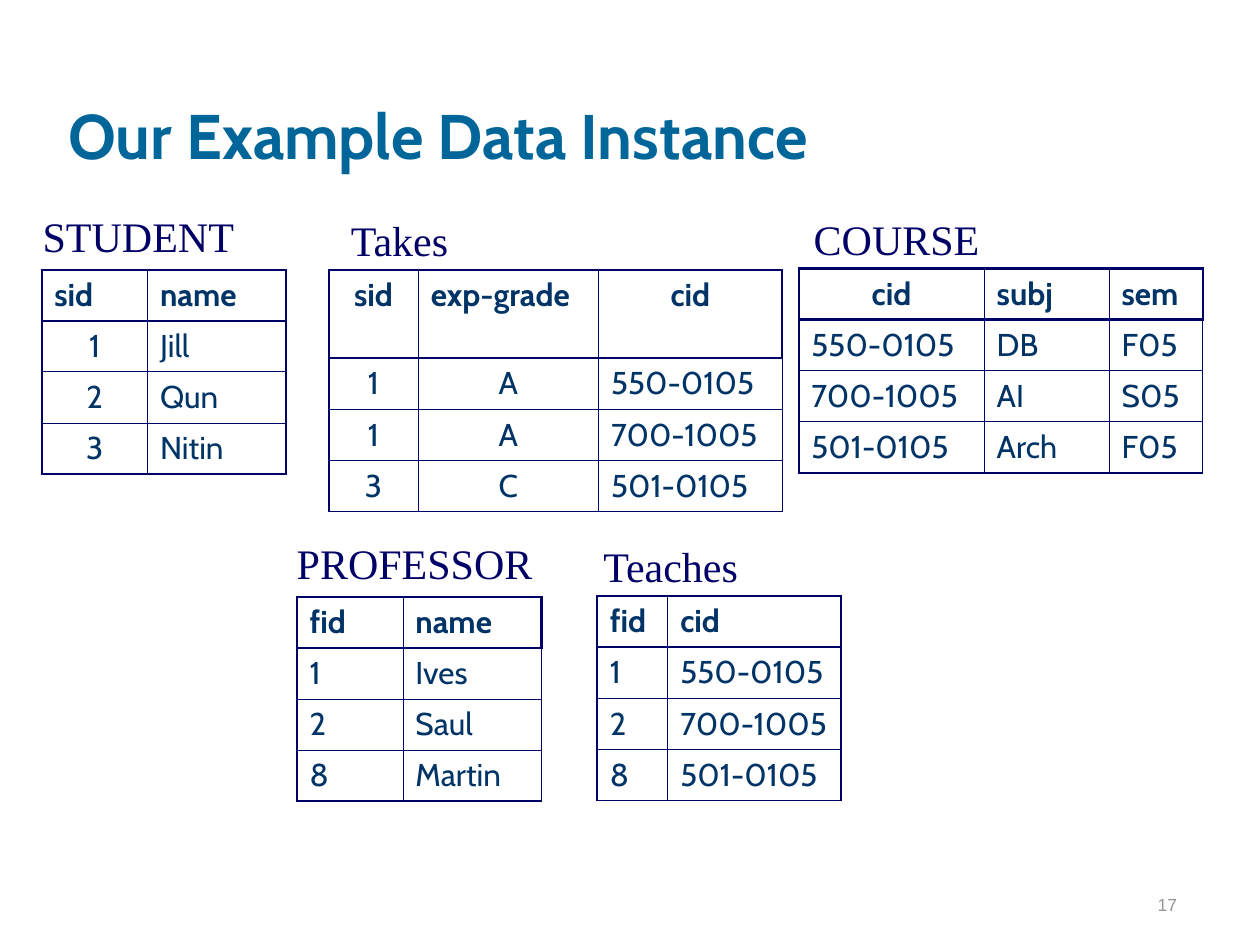
from lxml import etree
from pptx import Presentation
from pptx.dml.color import RGBColor
from pptx.enum.text import MSO_ANCHOR, MSO_AUTO_SIZE, PP_ALIGN
from pptx.oxml.ns import qn
from pptx.util import Pt

BOTTOM = MSO_ANCHOR.BOTTOM
TOP = MSO_ANCHOR.TOP
GROW = MSO_AUTO_SIZE.SHAPE_TO_FIT_TEXT
FIXED = MSO_AUTO_SIZE.NONE
ALIGN = {"l": PP_ALIGN.LEFT, "c": PP_ALIGN.CENTER, "r": PP_ALIGN.RIGHT}

COLORS = {"title": "006699", "navy": "000066", "cell": "003366", "number": "969696"}
THIN, OUTER, HEADER = 0.45, 1.08, 1.47
ROW_HEIGHT = 29.2


def write(frame, text, align, size, font, color, bold=False, before=0):
    para = frame.paragraphs[0]
    para.text = text
    para.alignment = ALIGN[align]
    para.space_before = Pt(before)
    para.font.size = Pt(size)
    para.font.name = font
    para.font.bold = bold
    para.font.color.rgb = RGBColor.from_string(COLORS[color])


def set_borders(cell, widths):
    """Draw the left, right, top and bottom lines, widths in points."""
    properties = cell._tc.get_or_add_tcPr()
    for index, (side, width) in enumerate(zip("LRTB", widths)):
        line = etree.Element(qn(f"a:ln{side}"), w=str(int(Pt(width))))
        fill = etree.SubElement(line, qn("a:solidFill"))
        etree.SubElement(fill, qn("a:srgbClr"), val=COLORS["navy"])
        properties.insert(index, line)


deck = Presentation()
deck.slide_width, deck.slide_height = Pt(720), Pt(540)
page = deck.slides.add_slide(deck.slide_layouts[6])

# Text boxes: text, left, top, width, height, align, anchor, wrap, size, font, color, bold, space before
LABEL = ("l", TOP, False, 24, "Times New Roman", "navy", False, 0)
texts = [
    ("17", 529.9, 490.3, 149.8, 36, "r", BOTTOM, True, 10, "Arial", "number", False, 6.2),
    ("Our Example Data Instance", 32, 11.8, 612, 90, "l", BOTTOM, True, 36, "Cabin", "title", True, 0),
    ("STUDENT", 17.3, 116.6, 123.8, 36, *LABEL),
    ("Takes", 193.4, 118.8, 71.3, 36, *LABEL),
    ("COURSE", 457.9, 118.3, 109, 36, *LABEL),
    ("PROFESSOR", 162.5, 303.4, 149, 36, *LABEL),
    ("Teaches", 337.7, 305.3, 92.9, 36, *LABEL),
]
for text, left, top, width, height, align, anchor, wrap, *style in texts:
    box = page.shapes.add_textbox(Pt(left), Pt(top), Pt(width), Pt(height))
    box.text_frame.word_wrap = wrap
    box.text_frame.auto_size = FIXED if wrap else GROW
    box.text_frame.vertical_anchor = anchor
    write(box.text_frame, text, align, *style)

# Tables: left, top, column widths, header height, header and body alignment, rows
tables = [
    # Student
    (23.8, 154.1, (60.5, 79.2), ROW_HEIGHT, "ll", "cl",
     ["sid name", "1 Jill", "2 Qun", "3 Nitin"]),
    # Professor
    (169.7, 341.1, (60.5, 79.2), ROW_HEIGHT, "ll", "ll",
     ["fid name", "1 Ives", "2 Saul", "8 Martin"]),
    # Takes
    (187.9, 154.1, (51.1, 103, 105.1), 50.6, "clc", "ccl",
     ["sid exp-grade cid", "1 A 550-0105", "1 A 700-1005", "3 C 501-0105"]),
    # Course
    (456.5, 153.4, (105.9, 71.4, 53.5), ROW_HEIGHT, "cll", "lll",
     ["cid subj sem", "550-0105 DB F05", "700-1005 AI S05", "501-0105 Arch F05"]),
    # Teaches
    (341.3, 340.6, (40.3, 99), ROW_HEIGHT, "ll", "ll",
     ["fid cid", "1 550-0105", "2 700-1005", "8 501-0105"]),
]
for left, top, widths, header_height, header_align, body_align, rows in tables:
    heights = [header_height] + [ROW_HEIGHT] * (len(rows) - 1)
    table = page.shapes.add_table(len(rows), len(widths), Pt(left), Pt(top),
                                  Pt(sum(widths)), Pt(sum(heights))).table
    for column, width in zip(table.columns, widths):
        column.width = Pt(width)
    for r, (row, height) in enumerate(zip(rows, heights)):
        table.rows[r].height = Pt(height)
        is_header = r == 0
        edge = HEADER if is_header else OUTER
        above = HEADER if r <= 1 else THIN
        below = HEADER if is_header else OUTER if r == len(rows) - 1 else THIN
        aligns = header_align if is_header else body_align
        for c, (text, align) in enumerate(zip(row.split(), aligns)):
            cell = table.cell(r, c)
            cell.fill.background()
            write(cell.text_frame, text, align, 18, "Cabin", "cell", is_header, 4.5)
            set_borders(cell, (edge if c == 0 else THIN,
                               edge if c == len(widths) - 1 else THIN, above, below))

deck.save("out.pptx")
